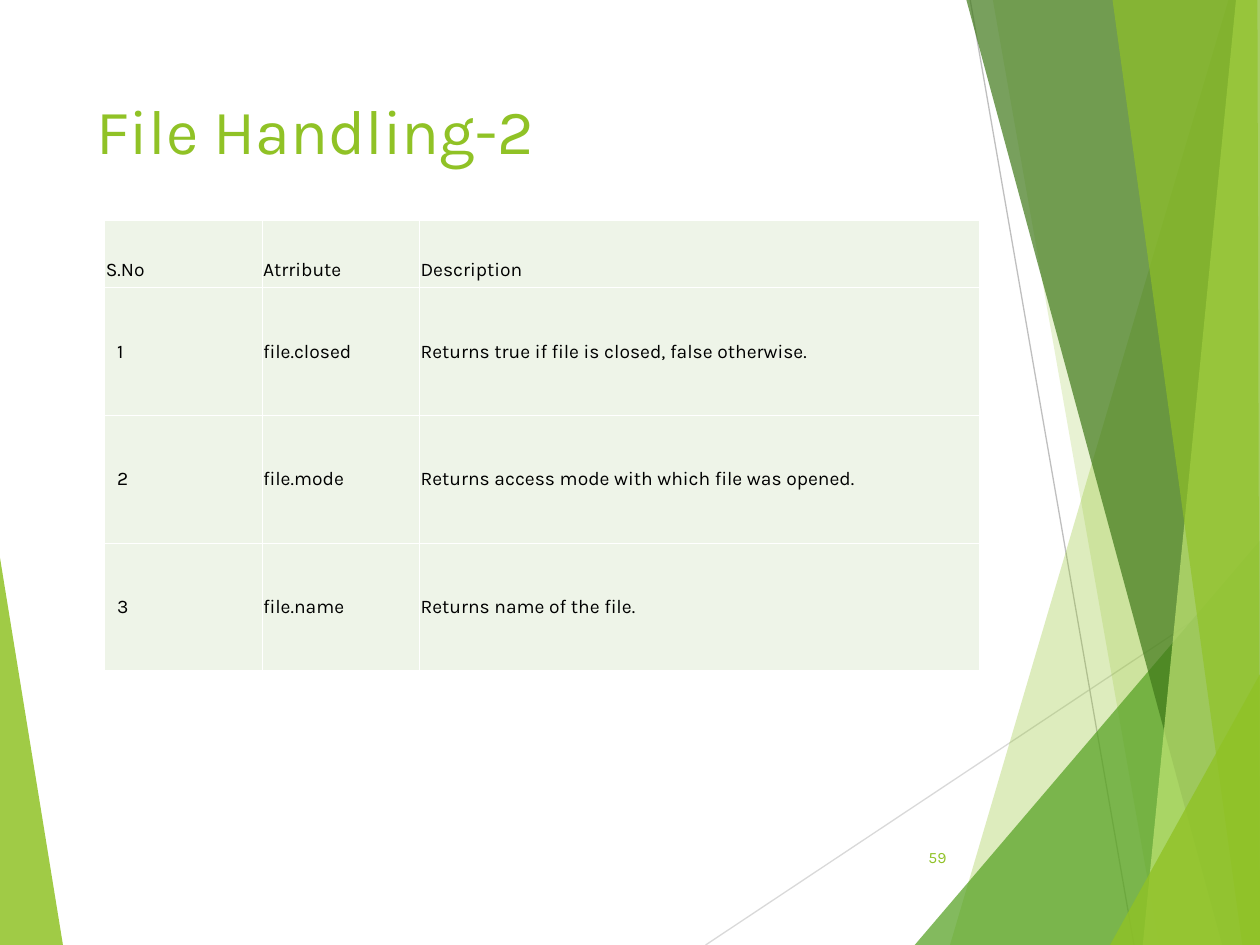
from lxml.etree import SubElement
from pptx import Presentation
from pptx.dml.color import RGBColor
from pptx.enum.shapes import MSO_CONNECTOR
from pptx.enum.text import MSO_ANCHOR, PP_ALIGN
from pptx.oxml import parse_xml
from pptx.oxml.ns import nsdecls, qn
from pptx.util import Inches, Pt

WIDTH, HEIGHT = Inches(10), Inches(7.5)
FONT = "Karla"
COLORS = {
    "lime": "90C226",
    "leaf": "54A021",
    "forest": "3F7819",
    "pale": "C0E474",
    "cell": "EEF4E8",
    "border": "FFFFFF",
    "text": "000000",
    "light_line": "D9D9D9",
    "dark_line": "BFBFBF",
}
LINES = [
    ((0.56, 1), (1, 0.61), "light_line"),
    ((0.77, 0), (0.9, 1), "dark_line"),
]
LEFT_FACETS = [([(0, 0.59), (0.05, 1), (0, 1)], "lime", 85)]
RIGHT_FACETS = [
    ([(9.75, 0), (7.54, 7.5), (10, 7.5), (10, 0)], "lime", 30),
    ([(7.88, 0), (9.2, 7.5), (10, 7.5), (10, 0)], "lime", 20),
    ([(7.26, 7.5), (10, 4.29), (10, 7.5)], "leaf", 72),
    ([(7.67, 0), (9.7, 7.5), (10, 7.5), (10, 0)], "forest", 70),
    ([(9.81, 0), (9.07, 7.5), (10, 7.5), (10, 0)], "pale", 70),
    ([(8.83, 0), (9.86, 7.5), (10, 7.5), (9.98, 0)], "lime", 65),
    ([(8.81, 7.5), (10, 5.35), (10, 7.5)], "lime", 80),
]
FACETS = LEFT_FACETS + [
    ([(x / 10, y / 7.5) for x, y in points], color, alpha)
    for points, color, alpha in RIGHT_FACETS
]
ROWS = [
    ("S.No", "Atrribute", "Description"),
    ("1", "file.closed", "Returns true if file is closed, false otherwise."),
    ("2", "file.mode", "Returns access mode with which file was opened."),
    ("3", "file.name", "Returns name of the file."),
]
COL_SHARES = (0.18, 0.18, 0.64)
ROW_SHARES = (0.15, 0.283, 0.283, 0.283)


def rgb(name):
    return RGBColor.from_string(COLORS[name])


def area(left, top, width, height):
    return (round(left * WIDTH), round(top * HEIGHT),
            round(width * WIDTH), round(height * HEIGHT))


def place(box, point):
    left, top, width, height = box
    return round(left + point[0] * width), round(top + point[1] * height)


def write(tf, text, size=11, color="text", align=PP_ALIGN.LEFT):
    p = tf.paragraphs[0]
    p.alignment = align
    r = p.add_run()
    r.text = text
    r.font.name = FONT
    r.font.size = Pt(size)
    r.font.color.rgb = rgb(color)


def add_text(s, box, text, anchor=MSO_ANCHOR.TOP, **fmt):
    tf = s.shapes.add_textbox(*box).text_frame
    tf.word_wrap = True
    tf.vertical_anchor = anchor
    write(tf, text, **fmt)


def add_facet(s, box, points, color, alpha):
    start, *rest = [place(box, point) for point in points]
    builder = s.shapes.build_freeform(*start)
    builder.add_line_segments(rest, close=True)
    sp = builder.convert_to_shape()
    sp.shadow.inherit = False
    sp.line.fill.background()
    sp.fill.solid()
    sp.fill.fore_color.rgb = rgb(color)
    clr = sp.fill._xPr.find(qn("a:solidFill"))[0]
    SubElement(clr, qn("a:alpha")).set("val", str(alpha * 1000))


def add_line(s, box, start, end, color):
    line = s.shapes.add_connector(
        MSO_CONNECTOR.STRAIGHT, *place(box, start), *place(box, end))
    line.line.color.rgb = rgb(color)
    line.line.width = Pt(0.75)
    SubElement(line._element.spPr, qn("a:effectLst"))


def add_backdrop(s, box):
    left_facet, *right_facets = FACETS
    add_facet(s, box, *left_facet)
    for line in LINES:
        add_line(s, box, *line)
    for facet in right_facets:
        add_facet(s, box, *facet)


def add_borders(cell):
    tcPr = cell._tc.get_or_add_tcPr()
    for i, side in enumerate(("lnL", "lnR", "lnT", "lnB")):
        tcPr.insert(i, parse_xml(
            f'<a:{side} {nsdecls("a")} w="{Pt(0.45)}"><a:solidFill>'
            f'<a:srgbClr val="{COLORS["border"]}"/></a:solidFill></a:{side}>'))


def add_attribute_table(s, box):
    table = s.shapes.add_table(len(ROWS), len(COL_SHARES), *box).table
    table.first_row = False
    table.horz_banding = False
    for col, share in zip(table.columns, COL_SHARES):
        col.width = round(box[2] * share)
    for row, share in zip(table.rows, ROW_SHARES):
        row.height = round(box[3] * share)
    for i, texts in enumerate(ROWS):
        for j, text in enumerate(texts):
            cell = table.cell(i, j)
            cell.fill.solid()
            cell.fill.fore_color.rgb = rgb("cell")
            cell.margin_left = Inches(0.1 if i and not j else 0.01)
            cell.margin_right = Inches(0.01)
            cell.margin_top = cell.margin_bottom = Inches(0.05)
            cell.vertical_anchor = MSO_ANCHOR.MIDDLE if i else MSO_ANCHOR.BOTTOM
            write(cell.text_frame, text,
                  align=PP_ALIGN.JUSTIFY if i and j else PP_ALIGN.LEFT)
            add_borders(cell)


def main():
    prs = Presentation()
    prs.slide_width, prs.slide_height = WIDTH, HEIGHT
    s = prs.slides.add_slide(prs.slide_layouts[6])
    add_backdrop(s, area(0, 0, 1, 1))
    add_text(s, area(0.067, 0.09, 0.694, 0.123), "File Handling-2",
             size=36, color="lime")
    add_attribute_table(s, area(0.083, 0.233, 0.694, 0.477))
    add_text(s, area(0.705, 0.881, 0.056, 0.053), "59", size=9, color="lime",
             align=PP_ALIGN.RIGHT, anchor=MSO_ANCHOR.MIDDLE)
    prs.save("out.pptx")


if __name__ == "__main__":
    main()
